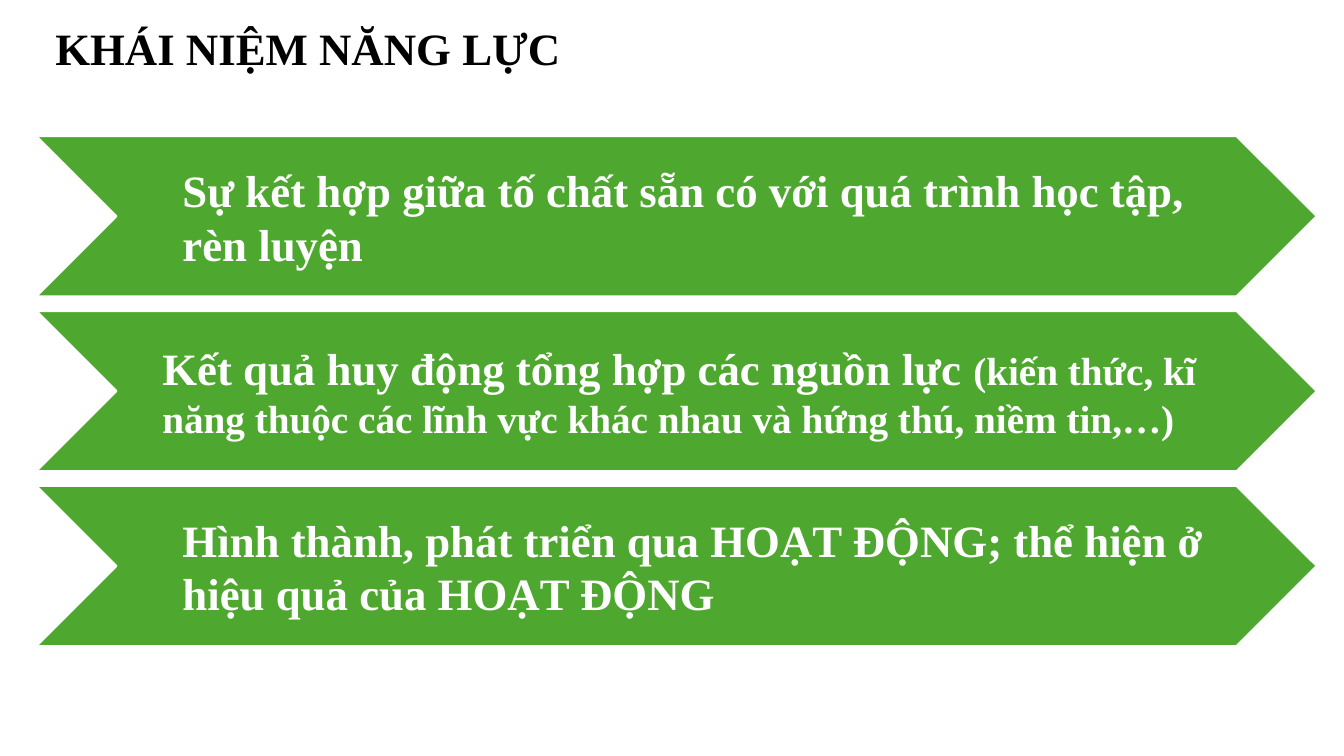
import pptx
import pptx.util
import pptx.dml.color
import pptx.enum.shapes
import pptx.enum.text

Inches = pptx.util.Inches
Pt = pptx.util.Pt
GREEN = pptx.dml.color.RGBColor(0x4E, 0xA7, 0x2E)
WHITE = pptx.dml.color.RGBColor(0xFF, 0xFF, 0xFF)
BLACK = pptx.dml.color.RGBColor(0x00, 0x00, 0x00)
FONT = "Times New Roman"

CHEVRON_LEFT, CHEVRON_TOP = 0.36, 1.35
CHEVRON_WIDTH, CHEVRON_HEIGHT = 12.7, 1.59
CHEVRON_STEP = 1.735

IDEAS = [
    (1.31, 10.17, [("Sự kết hợp giữa tố chất sẵn có với quá trình học tập, rèn luyện", 32)]),
    (1.11, 10.54, [
        ("Kết quả huy động tổng hợp các nguồn lực ", 32),
        ("(kiến thức, kĩ năng thuộc các lĩnh vực khác nhau và hứng thú, niềm tin,…)", 28),
    ]),
    (1.31, 10.54, [
        ("Hình thành, phát triển qua HOẠT ĐỘNG; thể hiện ở hiệu quả của HOẠT ĐỘNG", 32),
    ]),
]


def add_text(page, left, top, width, height, spans, color):
    box = page.shapes.add_textbox(Inches(left), Inches(top), Inches(width), Inches(height))
    frame = box.text_frame
    frame.word_wrap = True
    frame.vertical_anchor = pptx.enum.text.MSO_ANCHOR.MIDDLE
    para = frame.paragraphs[0]
    for text, size in spans:
        span = para.add_run()
        span.text = text
        span.font.name = FONT
        span.font.size = Pt(size)
        span.font.bold = True
        span.font.color.rgb = color
    return frame


def add_title(page, left, top, width, height):
    frame = add_text(page, left, top, width, height, [("KHÁI NIỆM NĂNG LỰC", 32)], BLACK)
    para = frame.paragraphs[0]
    para.alignment = pptx.enum.text.PP_ALIGN.JUSTIFY
    para.line_spacing = 0.9
    para.space_after = Pt(6)


def add_idea(page, left, top, width, height, text_offset, text_width, spans):
    chevron = page.shapes.add_shape(
        pptx.enum.shapes.MSO_SHAPE.CHEVRON,
        Inches(left), Inches(top), Inches(width), Inches(height))
    chevron.shadow.inherit = False
    chevron.fill.solid()
    chevron.fill.fore_color.rgb = GREEN
    chevron.line.color.rgb = WHITE
    chevron.line.width = Pt(1.5)
    frame = add_text(page, left + text_offset, top, text_width, height, spans, WHITE)
    frame.margin_left = Inches(0.14)
    frame.margin_top = frame.margin_right = frame.margin_bottom = Inches(0.05)


def main():
    deck = pptx.Presentation()
    deck.slide_width = Inches(13.33)
    deck.slide_height = Inches(7.5)
    page = deck.slides.add_slide(deck.slide_layouts[6])
    for index, (text_offset, text_width, spans) in enumerate(IDEAS):
        add_idea(page, CHEVRON_LEFT, CHEVRON_TOP + index * CHEVRON_STEP,
                 CHEVRON_WIDTH, CHEVRON_HEIGHT, text_offset, text_width, spans)
    add_title(page, 0.45, 0.16, 6.87, 0.7)
    deck.save("out.pptx")


if __name__ == "__main__":
    main()
